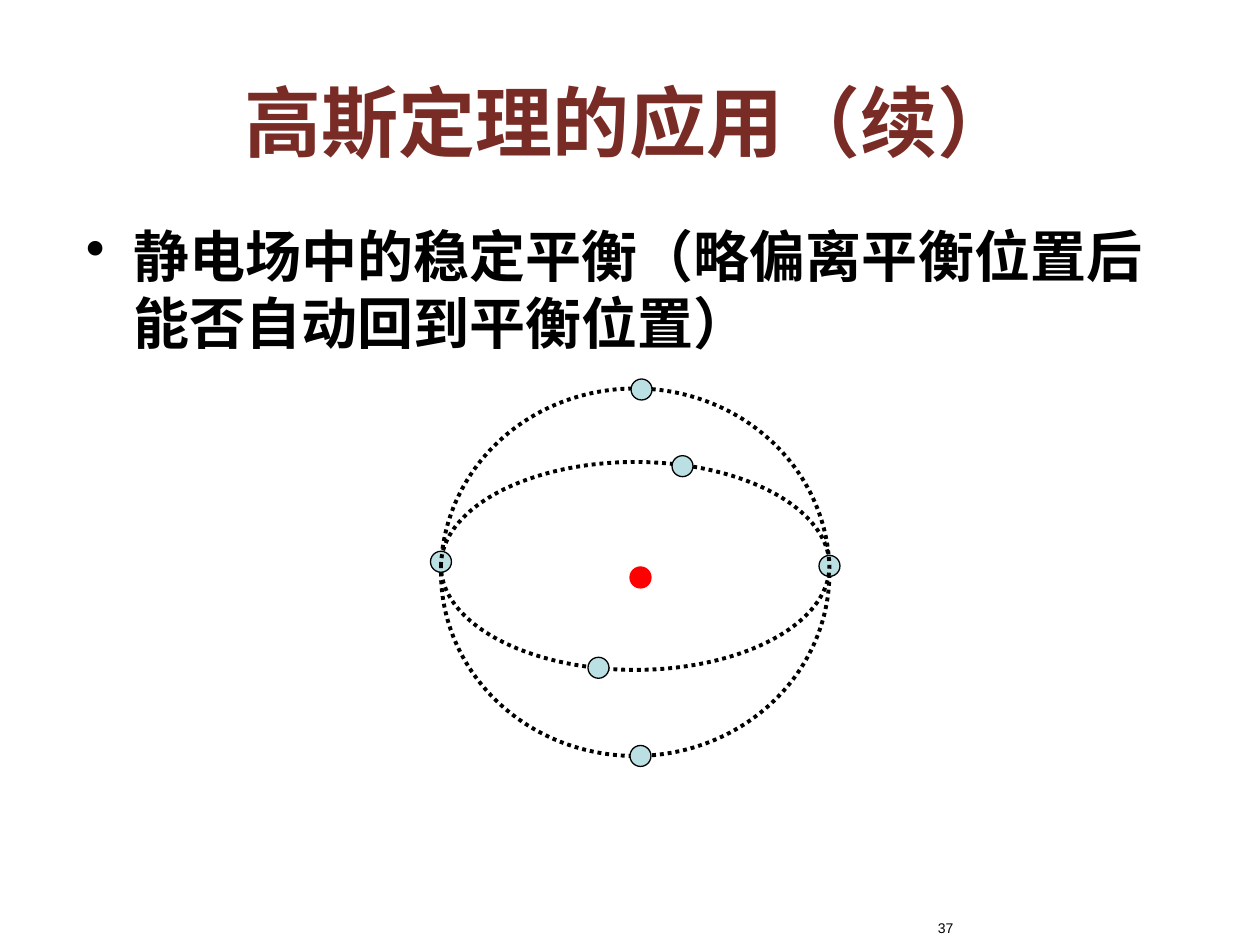
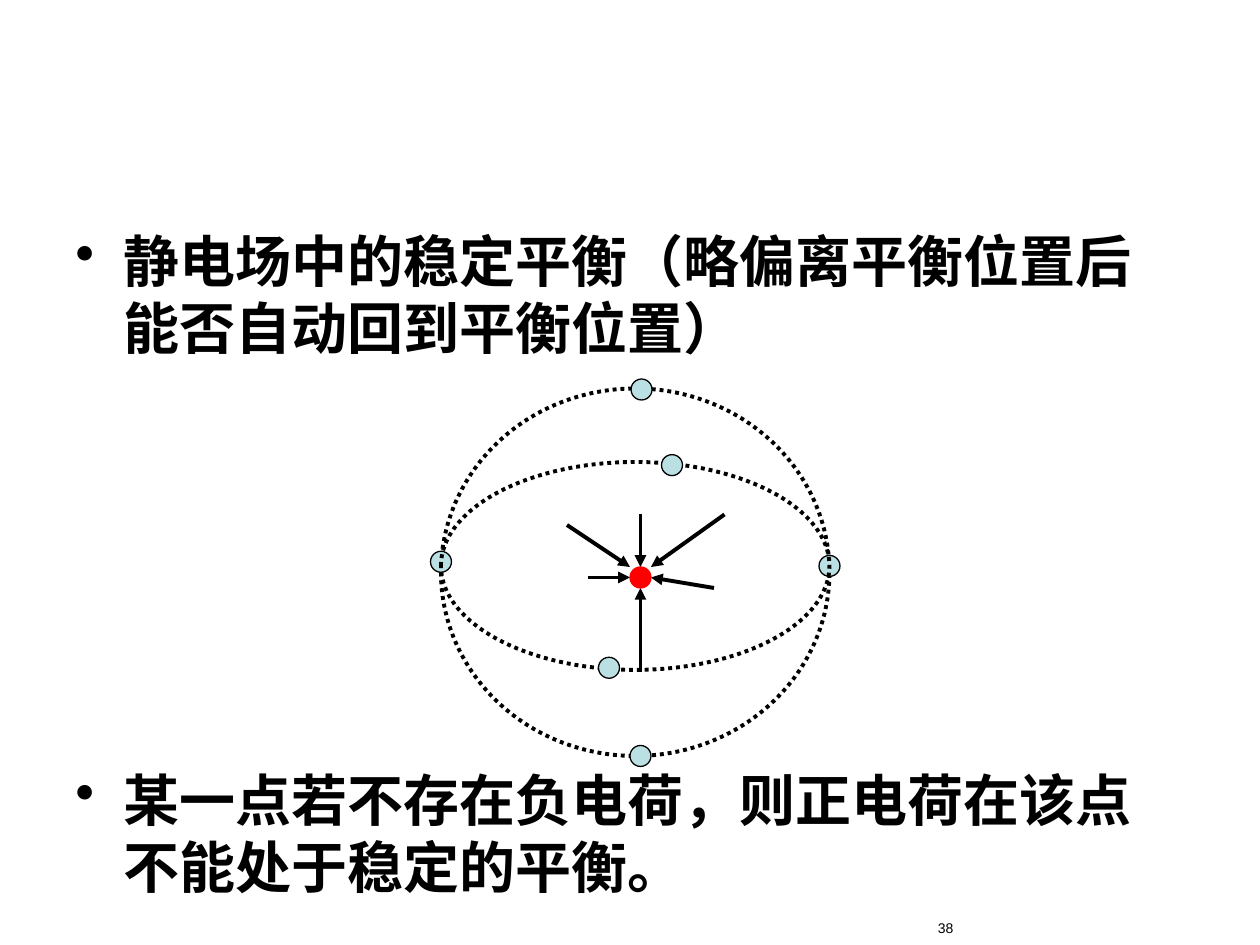
from pptx import Presentation
from pptx.dml.color import RGBColor
from pptx.enum.dml import MSO_LINE_DASH_STYLE as Dash
from pptx.enum.shapes import MSO_CONNECTOR as Connector, MSO_SHAPE as Shape
from pptx.enum.text import MSO_ANCHOR as Anchor, PP_ALIGN as Align
from pptx.oxml.ns import qn
from pptx.util import Inches, Pt
from lxml import etree

BLACK = RGBColor(0x00, 0x00, 0x00)
MAROON = RGBColor(0x79, 0x2B, 0x25)
PALE_BLUE = RGBColor(0xBB, 0xE0, 0xE3)
RED = RGBColor(0xFF, 0x00, 0x00)

deck = Presentation()
deck.slide_width, deck.slide_height = Inches(10), Inches(7.5)
CELL = deck.slide_width / 120  # the slide is a grid of 120 columns and 90 rows
HANGING = Inches(0.38)

TITLE = {"name": "Times New Roman", "size": Pt(44), "bold": True}
BODY = {"name": "Arial", "size": Pt(32), "bold": True}
NUMBER = {"name": "Arial", "size": Pt(8), "bold": False}

QUESTION = "静电场中的稳定平衡（略偏离平衡位置后能否自动回到平衡位置）"
CONCLUSION = "某一点若不存在负电荷，则正电荷在该点不能处于稳定的平衡。"

# Cells: left, top, width, height
SPHERE = (42, 37, 37, 35)
EQUATOR = (42, 44, 37, 19.8)
# Cells: centre column, centre row
CHARGE = (61, 55)
SIDE_POINTS = [(42, 53.5), (79, 53.9), (61, 72)]
TOP_POINT = (61.1, 37.1)
# Cells: tail, then head beside the charge
FIELD_ARROWS = [
    ((54, 50), (60, 54)),
    ((61, 64), (61, 56)),
    ((69, 49), (62, 54)),
    ((61, 49), (61, 54)),
    ((56, 55), (60, 55)),
    ((68, 56), (62, 55)),
]

PAGES = [
    {"number": "37", "title": "高斯定理的应用（续）", "body_at": (7, 20.5),
     "bullets": [QUESTION], "arrows": [],
     "equator_points": [(57, 63.6), (65, 44.4)]},
    {"number": "38", "title": None, "body_at": (6, 21),
     "bullets": [QUESTION, CONCLUSION], "arrows": FIELD_ARROWS,
     "equator_points": [(58, 63.6), (64, 44.3)]},
]


def cells(*values):
    return [round(value * CELL) for value in values]


def add_text(page, area, texts, style, color, align, bullet=False):
    """Put one paragraph per text in a box and return its text frame."""
    frame = page.shapes.add_textbox(*cells(*area)).text_frame
    frame.word_wrap = True
    for index, text in enumerate(texts):
        para = frame.add_paragraph() if index else frame.paragraphs[0]
        para.text, para.alignment = text, align
        if bullet:
            props = para._p.get_or_add_pPr()
            props.set("marL", str(HANGING))
            props.set("indent", str(-HANGING))
            etree.SubElement(props, qn("a:buChar")).set("char", "•")
        if index:
            para.space_before = Pt(231)  # leaves room for the diagram
        font = para.runs[0].font
        for name, value in style.items():
            setattr(font, name, value)
        font.color.rgb = color
    return frame


for content in PAGES:
    page = deck.slides.add_slide(deck.slide_layouts[6])

    add_text(page, (*content["body_at"], 108, 61), content["bullets"],
             BODY, BLACK, Align.LEFT, bullet=True)
    add_text(page, (81, 87, 11, 3), [content["number"]], NUMBER, BLACK, Align.RIGHT)
    if content["title"]:
        title = add_text(page, (6, 5, 108, 13), [content["title"]],
                         TITLE, MAROON, Align.CENTER)
        title.vertical_anchor = Anchor.MIDDLE

    for tail, head in content["arrows"]:
        arrow = page.shapes.add_connector(Connector.STRAIGHT, *cells(*tail, *head))
        arrow.line.color.rgb, arrow.line.width = BLACK, Pt(2.25)
        etree.SubElement(arrow.line._get_or_add_ln(), qn("a:tailEnd")).set("type", "triangle")
        etree.SubElement(arrow._element.spPr, qn("a:effectLst"))

    # Ovals from back to front: area, fill, line colour
    dots = [(point, PALE_BLUE, BLACK) for point in SIDE_POINTS]
    dots.append((CHARGE, RED, RED))
    front = [(point, PALE_BLUE, BLACK) for point in [TOP_POINT, *content["equator_points"]]]
    ovals = [(SPHERE, None, BLACK)]
    for group in (dots, front):
        ovals += [((x - 1, y - 1, 2, 2), fill, edge) for (x, y), fill, edge in group]
        if group is dots:
            ovals.append((EQUATOR, None, BLACK))

    for area, fill, edge in ovals:
        oval = page.shapes.add_shape(Shape.OVAL, *cells(*area))
        oval.shadow.inherit = False
        oval.line.color.rgb = edge
        if fill is None:
            oval.fill.background()
            oval.line.width, oval.line.dash_style = Pt(2.25), Dash.ROUND_DOT
        else:
            oval.fill.solid()
            oval.fill.fore_color.rgb = fill
            oval.line.width = Pt(0.75)

deck.save("out.pptx")
